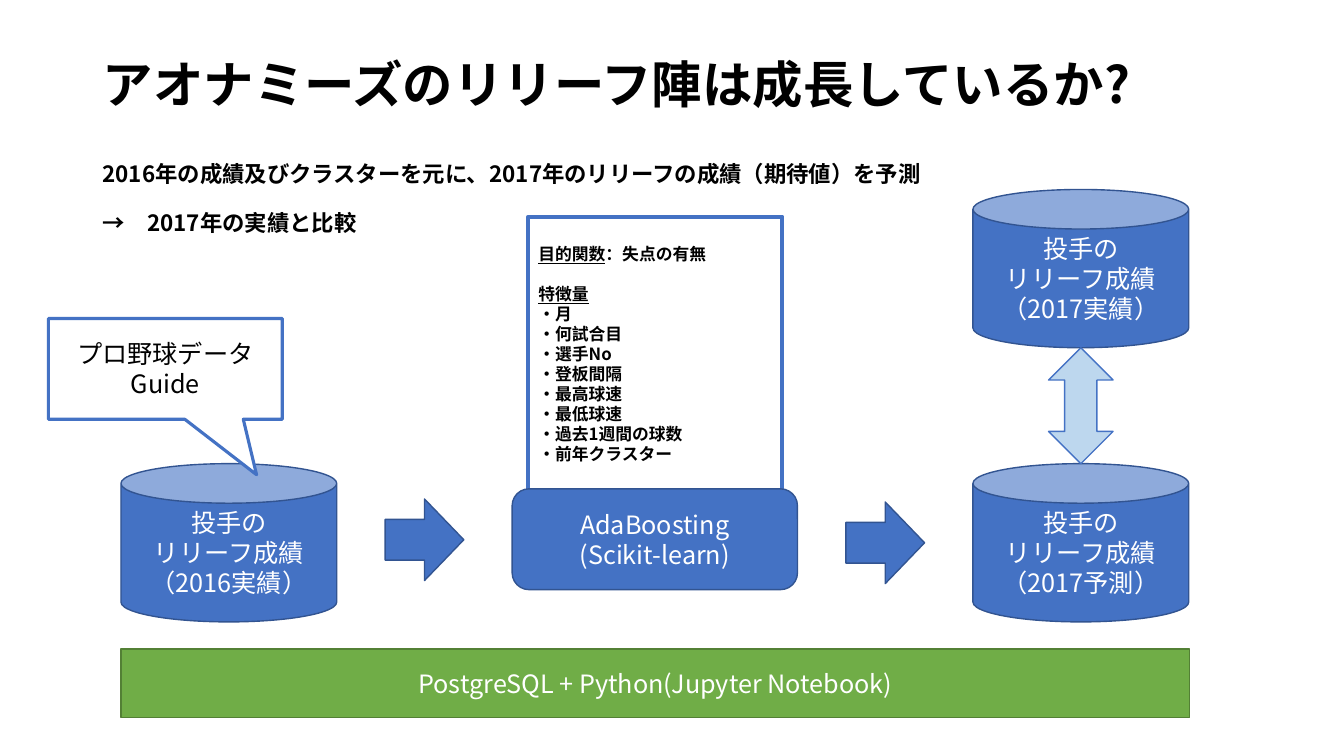
from lxml import etree
from pptx import Presentation
from pptx.dml.color import RGBColor
from pptx.enum.shapes import MSO_SHAPE
from pptx.enum.text import MSO_ANCHOR, PP_ALIGN
from pptx.oxml.ns import qn
from pptx.util import Inches, Pt

CENTER, LEFT = PP_ALIGN.CENTER, PP_ALIGN.LEFT
MIDDLE, TOP = MSO_ANCHOR.MIDDLE, MSO_ANCHOR.TOP
CAN, RECTANGLE = MSO_SHAPE.CAN, MSO_SHAPE.RECTANGLE
ROUNDED, CALLOUT = MSO_SHAPE.ROUNDED_RECTANGLE, MSO_SHAPE.RECTANGULAR_CALLOUT
RIGHT_ARROW, UP_DOWN_ARROW = MSO_SHAPE.RIGHT_ARROW, MSO_SHAPE.UP_DOWN_ARROW
FONT = "Noto Sans CJK JP"
BLUE, NAVY, WHITE, BLACK = "4472C4", "325491", "FFFFFF", "000000"


def write(shape, text, size=18, color=WHITE, bold=False, align=CENTER,
          anchor=MIDDLE, leading=1.19, gaps=(), underlined=()):
    frame = shape.text_frame
    frame.word_wrap = True
    frame.vertical_anchor = anchor
    for index, line in enumerate(text.split("\n")):
        para = frame.paragraphs[0] if index == 0 else frame.add_paragraph()
        para.alignment = align
        para.line_spacing = Pt(round(size * leading, 1))
        para.space_before = Pt(round(size * leading, 1) if index in gaps else 0)
        heading = next((word for word in underlined if line.startswith(word)), "")
        for part in (heading, line[len(heading):]):
            if part:
                span = para.add_run()
                span.text = part
                span.font.name = FONT
                span.font.size = Pt(size)
                span.font.bold = bold
                span.font.underline = part == heading
                span.font.color.rgb = RGBColor.from_string(color)
                east_asian = etree.SubElement(span.font._element, qn("a:ea"))
                east_asian.set("typeface", FONT)


def draw(kind, left, top, width, height, fill=BLUE, line=NAVY, weight=1):
    shape = slide.shapes.add_shape(
        kind, Inches(left), Inches(top), Inches(width), Inches(height))
    shape.shadow.inherit = False
    shape.fill.solid()
    shape.fill.fore_color.rgb = RGBColor.from_string(fill)
    shape.line.color.rgb = RGBColor.from_string(line)
    shape.line.width = Pt(weight)
    return shape


deck = Presentation()
deck.slide_width, deck.slide_height = Inches(13.33), Inches(7.5)
slide = deck.slides.add_slide(deck.slide_layouts[5])

title = slide.shapes.title
title.left, title.top = Inches(0.92), Inches(0.4)
title.width, title.height = Inches(11.5), Inches(0.91)
write(title, "アオナミーズのリリーフ陣は成長しているか?", size=36, color=BLACK,
      bold=True, align=LEFT, leading=1.07)

summary = slide.shapes.add_textbox(Inches(0.92), Inches(1.56), Inches(11.5), Inches(1))
write(summary, "2016年の成績及びクラスターを元に、2017年のリリーフの成績（期待値）を予測\n"
      "→\u30002017年の実績と比較".replace("\u3000", "　"), size=16, color=BLACK,
      bold=True, align=LEFT, anchor=TOP, leading=1.1, gaps=(1,))

for left, top in ((3.82, 4.95), (8.39, 4.98)):
    draw(RIGHT_ARROW, left, top, 0.78, 0.81)

for left, top, label in ((1.2, 4.6, "2016実績"), (9.65, 4.6, "2017予測"),
                         (9.65, 1.88, "2017実績")):
    database = draw(CAN, left, top, 2.14, 1.57)
    write(database, f"投手の\nリリーフ成績\n（{label}）")

source = draw(CALLOUT, 0.48, 3.16, 2.32, 1, fill=WHITE, line=BLUE, weight=2.25)
source.adjustments[0], source.adjustments[1] = 0.39, 1.05
write(source, "プロ野球データGuide", color=BLACK)

platform = draw(RECTANGLE, 1.2, 6.44, 10.6, 0.68, fill="70AD47", line="538035")
write(platform, "PostgreSQL + Python(Jupyter Notebook)")

draw(UP_DOWN_ARROW, 10.4, 3.45, 0.64, 1.15, fill="BDD7EE", line=BLUE)

features = draw(RECTANGLE, 5.24, 2.15, 2.52, 2.73, fill=WHITE, line=BLUE, weight=3)
feature_names = ("月", "何試合目", "選手No", "登板間隔", "最高球速", "最低球速",
                 "過去1週間の球数", "前年クラスター")
write(features, "\n".join(["目的関数：失点の有無", "特徴量"]
                          + [f"・{name}" for name in feature_names]),
      size=12, color=BLACK, bold=True, align=LEFT, gaps=(1,),
      underlined=("目的関数", "特徴量"))

model = draw(ROUNDED, 5.08, 4.85, 2.83, 1)
write(model, "AdaBoosting\n(Scikit-learn)")

deck.save("out.pptx")
